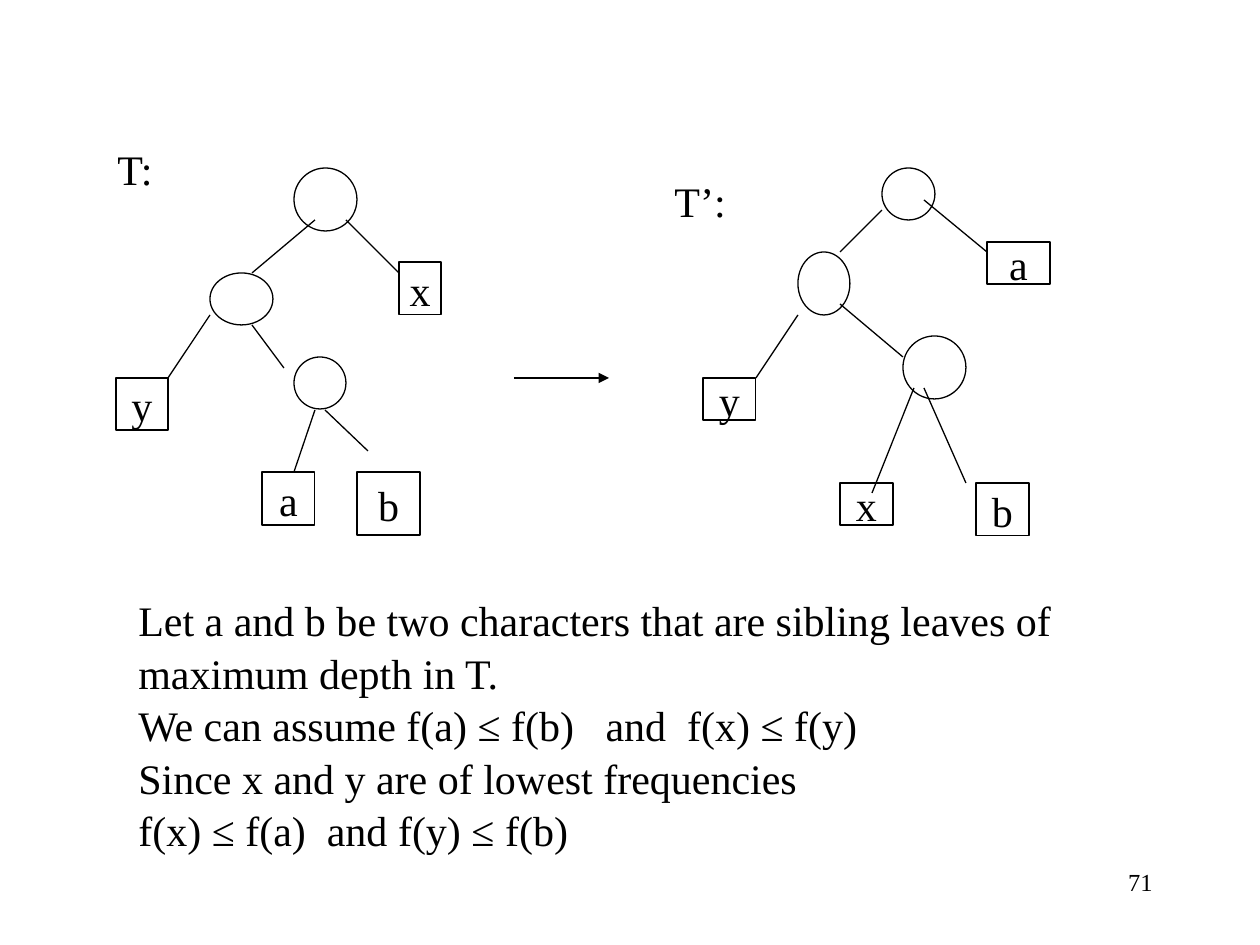
from lxml import etree
from pptx import Presentation
from pptx import util as u
from pptx.dml.color import RGBColor
from pptx.enum import shapes, text
from pptx.oxml.ns import qn

SCALE = 914400 // 126
BLACK, WHITE = "000000", "FFFFFF"
FONT = "Times New Roman"
LINE_WIDTH = 0.74


def px(value):
    return u.Emu(value * SCALE)


def color(value):
    return RGBColor.from_string(value)


def write(frame, lines, size=24, align=text.PP_ALIGN.LEFT, spacing=1.04):
    for index, line in enumerate(lines):
        paragraph = frame.paragraphs[0] if index == 0 else frame.add_paragraph()
        paragraph.text = line
        paragraph.alignment = align
        paragraph.line_spacing = spacing
        paragraph.font.size = u.Pt(size)
        paragraph.font.name = FONT
        paragraph.font.color.rgb = color(BLACK)


def add_node(slide, kind, box):
    node = slide.shapes.add_shape(kind, *map(px, box))
    node.shadow.inherit = False
    node.fill.solid()
    node.fill.fore_color.rgb = color(WHITE)
    node.line.color.rgb = color(BLACK)
    node.line.width = u.Pt(LINE_WIDTH)
    return node


def add_leaf(slide, letter, box):
    frame = add_node(slide, shapes.MSO_SHAPE.RECTANGLE, box).text_frame
    frame.word_wrap = False
    frame.vertical_anchor = text.MSO_ANCHOR.MIDDLE
    write(frame, [letter], align=text.PP_ALIGN.CENTER)


def add_edge(slide, ends, arrow=False):
    edge = slide.shapes.add_connector(
        shapes.MSO_CONNECTOR.STRAIGHT, *map(px, ends))
    edge.line.color.rgb = color(BLACK)
    edge.line.width = u.Pt(LINE_WIDTH)
    if arrow:
        etree.SubElement(edge.line._get_or_add_ln(), qn("a:tailEnd"), type="triangle")
    etree.SubElement(edge._element.spPr, qn("a:effectLst"))


def add_text(slide, lines, box, top_inset=6, **style):
    frame = slide.shapes.add_textbox(*map(px, box)).text_frame
    frame.word_wrap = True
    frame.margin_top = px(top_inset)
    write(frame, lines, **style)


def add_tree(slide, label, label_box, inner_nodes, leaves, edges):
    for box in inner_nodes:
        add_node(slide, shapes.MSO_SHAPE.OVAL, box)
    for letter, box in leaves:
        add_leaf(slide, letter, box)
    for ends in edges:
        add_edge(slide, ends)
    add_text(slide, [label], label_box)


def main():
    deck = Presentation()
    deck.slide_width, deck.slide_height = px(1260), px(945)
    slide = deck.slides.add_slide(deck.slide_layouts[6])

    add_tree(
        slide, "T:", (105, 136, 63, 63),
        inner_nodes=[(294, 168, 63, 63), (210, 273, 63, 52), (294, 357, 52, 52)],
        leaves=[("y", (116, 378, 52, 52)), ("a", (262, 472, 53, 53)),
                ("b", (357, 472, 63, 63)), ("x", (399, 262, 42, 53))],
        edges=[(315, 220, 252, 273), (210, 315, 168, 378), (252, 325, 284, 368),
               (315, 410, 294, 472), (325, 410, 368, 451), (346, 220, 399, 273)])

    add_edge(slide, (514, 378, 609, 378), arrow=True)

    add_tree(
        slide, "T’:", (662, 168, 94, 63),
        inner_nodes=[(882, 168, 53, 52), (798, 252, 52, 63), (903, 336, 63, 63)],
        leaves=[("y", (703, 378, 53, 42)), ("x", (840, 483, 53, 42)),
                ("b", (976, 483, 53, 53)), ("a", (987, 242, 63, 42))],
        edges=[(882, 210, 840, 252), (924, 200, 987, 252), (798, 315, 756, 378),
               (840, 304, 903, 357), (914, 388, 872, 493), (924, 388, 966, 483)])

    add_text(slide, [
        "Let a and b be two characters that are sibling leaves of maximum depth in T.",
        "We can assume f(a) ≤ f(b)   and  f(x) ≤ f(y)",
        "Since x and y are of lowest frequencies",
        "f(x) ≤ f(a)  and f(y) ≤ f(b)",
    ], (126, 536, 1050, 320), top_inset=57)
    add_text(slide, ["71"], (903, 861, 262, 63), size=14,
             align=text.PP_ALIGN.RIGHT, spacing=1.0)

    deck.save("out.pptx")


main()
